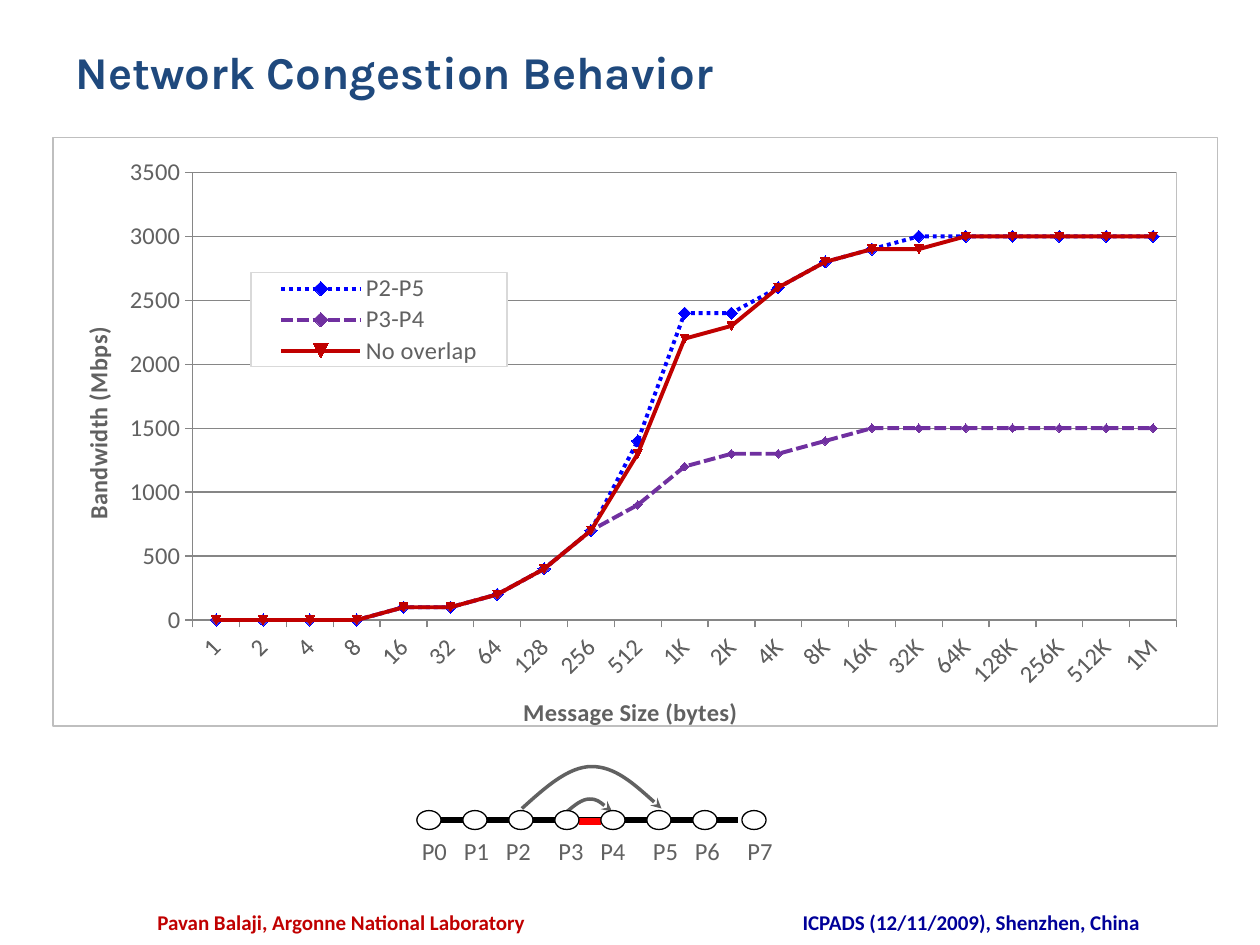
import pptx
import pptx.chart.data
import pptx.dml.color
import pptx.enum.chart
import pptx.enum.dml
import pptx.enum.shapes
import pptx.enum.text
import pptx.oxml
import pptx.oxml.ns
import pptx.util

GREY, NAVY, RED, BLUE = "616161", "1F497D", "C00000", "000099"
AXIS = "868686"
BODY = {"name": "Calibri", "size": pptx.util.Pt(14)}
FOOTER = {"name": "Calibri", "size": pptx.util.Pt(12), "bold": True}
HEADING = {"name": "Karla", "size": pptx.util.Pt(26), "bold": True}

SIZES = ["1", "2", "4", "8", "16", "32", "64", "128", "256", "512",
         "1K", "2K", "4K", "8K", "16K", "32K", "64K", "128K", "256K", "512K", "1M"]
DASH = pptx.enum.dml.MSO_LINE
MARKER = pptx.enum.chart.XL_MARKER_STYLE
# name, colour, dash, marker, marker size, values
SERIES = [
    ("P2-P5", "0000FF", DASH.ROUND_DOT, MARKER.DIAMOND, 7,
     [0, 0, 0, 0, 100, 100, 200, 400, 700, 1400, 2400, 2400, 2600, 2800, 2900] + [3000] * 6),
    ("P3-P4", "7030A0", DASH.SQUARE_DOT, MARKER.AUTOMATIC, 5,
     [0, 0, 0, 0, 100, 100, 200, 400, 700, 900, 1200, 1300, 1300, 1400] + [1500] * 7),
    ("No overlap", RED, DASH.SOLID, MARKER.AUTOMATIC, 5,
     [0, 0, 0, 0, 100, 100, 200, 400, 700, 1300, 2200, 2300, 2600, 2800, 2900, 2900]
     + [3000] * 5),
]


def color(value):
    return pptx.dml.color.RGBColor.from_string(value)


def xml(tag, inner="", prefix="c"):
    return pptx.oxml.parse_xml(
        f"<{prefix}:{tag} {pptx.oxml.ns.nsdecls('c', 'a')}>{inner}</{prefix}:{tag}>")


def frame(line, fill=None):
    """Chart shape properties with a thin outline and an optional solid fill."""
    def solid(c):
        return f'<a:solidFill><a:srgbClr val="{c}"/></a:solidFill>'
    return xml("spPr", (solid(fill) if fill else "<a:noFill/>")
               + f'<a:ln w="9525">{solid(line)}</a:ln>')


def place(parent, after, **shares):
    """Fix a chart part at shares of the chart, following the child named after."""
    for old in parent.xpath("c:layout"):
        parent.remove(old)
    modes = '<c:layoutTarget val="inner"/>' if after is None else ""
    modes += '<c:xMode val="edge"/><c:yMode val="edge"/>'
    values = "".join(f'<c:{k} val="{v}"/>' for k, v in shares.items())
    layout = xml("layout", f"<c:manualLayout>{modes}{values}</c:manualLayout>")
    if after is None:
        parent.insert(0, layout)
    else:
        parent.xpath(after)[0].addnext(layout)


class Deck:
    """Style and current slide; lengths count cells of a 120 by 90 grid."""
    COLS, ROWS = 120, 90

    def __init__(self):
        self.prs = pptx.Presentation()
        self.prs.slide_width = pptx.util.Inches(10)
        self.prs.slide_height = pptx.util.Inches(7.5)
        self.s = self.prs.slides.add_slide(self.prs.slide_layouts[5])

    def x(self, cols):
        return round(self.prs.slide_width * cols / self.COLS)

    def y(self, rows):
        return round(self.prs.slide_height * rows / self.ROWS)

    def box(self, left, top, width, height):
        return self.x(left), self.y(top), self.x(width), self.y(height)

    def style(self, font, fmt, hue):
        for key, value in fmt.items():
            setattr(font, key, value)
        font.color.rgb = color(hue)

    def fill_text(self, sp, words, fmt, hue, align):
        tf = sp.text_frame
        tf.word_wrap = True
        tf.vertical_anchor = pptx.enum.text.MSO_ANCHOR.TOP
        p = tf.paragraphs[0]
        p.alignment = align
        r = p.add_run()
        r.text = words
        self.style(r.font, fmt, hue)

    def title(self, words, area):
        sp = self.s.shapes.title
        sp.left, sp.top, sp.width, sp.height = self.box(*area)
        self.fill_text(sp, words, HEADING, NAVY, pptx.enum.text.PP_ALIGN.LEFT)

    def text(self, words, area, fmt=BODY, hue=GREY, align=pptx.enum.text.PP_ALIGN.LEFT):
        self.fill_text(self.s.shapes.add_textbox(*self.box(*area)), words, fmt, hue, align)

    def outline(self, sp, hue, width):
        sp.line.color.rgb = color(hue)
        sp.line.width = pptx.util.Pt(width)

    def node(self, area):
        sp = self.s.shapes.add_shape(pptx.enum.shapes.MSO_SHAPE.OVAL, *self.box(*area))
        sp.shadow.inherit = False
        sp.fill.solid()
        sp.fill.fore_color.rgb = color("FFFFFF")
        self.outline(sp, "000000", 0.75)

    def link(self, start, end, row, hue, width):
        sp = self.s.shapes.add_connector(
            pptx.enum.shapes.MSO_CONNECTOR.STRAIGHT,
            self.x(start), self.y(row), self.x(end), self.y(row))
        self.outline(sp, hue, width)
        sp.element.spPr.append(xml("effectLst", prefix="a"))

    def arc(self, start, end, top, base):
        """Arched arrow made of two Bezier curves."""
        shares = [(0, 1), (1 / 6, .5), (1 / 3, 0), (.5, 0), (2 / 3, 0), (5 / 6, .5), (1, 1)]
        points = [(self.x(start + (end - start) * u), self.y(top + (base - top) * v))
                  for u, v in shares]
        builder = self.s.shapes.build_freeform(*points[0])
        builder.add_line_segments(points[1:], close=False)
        sp = builder.convert_to_shape()
        segments = sp.element.xpath(".//a:lnTo")
        for i in (0, 3):
            curve = xml("cubicBezTo", prefix="a")
            segments[i].addprevious(curve)
            for segment in segments[i:i + 3]:
                curve.append(segment[0])
                segment.getparent().remove(segment)
        sp.shadow.inherit = False
        sp.fill.background()
        self.outline(sp, GREY, 2)
        sp.element.xpath(".//a:ln")[0].append(
            pptx.oxml.parse_xml(f'<a:tailEnd {pptx.oxml.ns.nsdecls("a")} type="stealth"/>'))

    def axis(self, axis, name):
        axis.has_title = True
        axis.axis_title.text_frame.text = name
        r = axis.axis_title.text_frame.paragraphs[0].runs[0]
        self.style(r.font, {**BODY, "bold": True}, GREY)
        axis.major_tick_mark = pptx.enum.chart.XL_TICK_MARK.OUTSIDE
        axis.format.line.color.rgb = color(AXIS)
        self.style(axis.tick_labels.font, BODY, GREY)

    def line_chart(self, area, categories, series, x_name, y_name):
        data = pptx.chart.data.CategoryChartData()
        data.categories = categories
        for name, *_, values in series:
            data.add_series(name, values)
        chart = self.s.shapes.add_chart(
            pptx.enum.chart.XL_CHART_TYPE.LINE_MARKERS, *self.box(*area), data).chart
        chart.has_title = False
        self.style(chart.font, BODY, GREY)
        chart.plots[0].vary_by_categories = False
        for ser, (_, hue, dash, marker, size, _) in zip(chart.plots[0].series, series):
            ser.smooth = False
            self.outline(ser.format, hue, 2.25)
            ser.format.line.dash_style = dash
            ser.marker.style, ser.marker.size = marker, size
            ser.marker.format.fill.solid()
            ser.marker.format.fill.fore_color.rgb = color(hue)
            ser.marker.format.line.color.rgb = color(hue)

        self.axis(chart.category_axis, x_name)
        self.axis(chart.value_axis, y_name)
        for key, value in {"minimum_scale": 0, "maximum_scale": 3500, "major_unit": 500}.items():
            setattr(chart.value_axis, key, value)
        chart.value_axis.major_gridlines.format.line.color.rgb = color(AXIS)
        chart.has_legend = True
        chart.legend.position = pptx.enum.chart.XL_LEGEND_POSITION.TOP
        chart.legend.include_in_layout = True

        root = chart.element
        root.xpath(".//c:catAx/c:txPr/a:bodyPr")[0].set("rot", "-2700000")
        plot, legend = root.xpath(".//c:plotArea")[0], root.xpath(".//c:legend")[0]
        place(plot, None, x=0.12, y=0.06, w=0.845, h=0.76)
        place(legend, "c:legendPos", x=0.17, y=0.23, w=0.22, h=0.16)
        place(root.xpath(".//c:catAx/c:title")[0], "c:tx", x=0.4, y=0.94)
        place(root.xpath(".//c:valAx/c:title")[0], "c:tx", x=0.02, y=0.32)
        plot.append(frame("C0C0C0"))
        legend.xpath("c:overlay")[0].addnext(frame("D9D9D9", "FFFFFF"))
        root.xpath("c:chart")[0].addnext(frame("BFBFBF", "FFFFFF"))


def main():
    deck = Deck()
    center = pptx.enum.text.PP_ALIGN.CENTER
    deck.title("Network Congestion Behavior", (6, 3.6, 108, 10.4))
    deck.line_chart((5, 13, 111, 57), SIZES, SERIES, "Message Size (bytes)", "Bandwidth (Mbps)")
    deck.text("Pavan Balaji, Argonne National Laboratory", (13, 86, 39, 3), FOOTER, RED, center)
    deck.text("ICPADS (12/11/2009), Shenzhen, China", (69, 86, 47, 3), FOOTER, BLUE, center)

    deck.link(41.8, 70.3, 78.1, "000000", 3.6)
    deck.link(55.1, 57.2, 78.2, "FF0000", 4)
    deck.arc(54, 58.3, 76.1, 77.3)
    deck.arc(49.7, 63, 73, 77)
    nodes = 8
    for i in range(nodes):
        gap = 0.3 if i == nodes - 1 else 0
        deck.node((39.7 + 4.38 * i + gap, 77.2, 2.3, 1.8))
        deck.text(f"P{i}", (39 + i * 31 // 7, 79, 5, 4))
    deck.prs.save("out.pptx")


if __name__ == "__main__":
    main()
